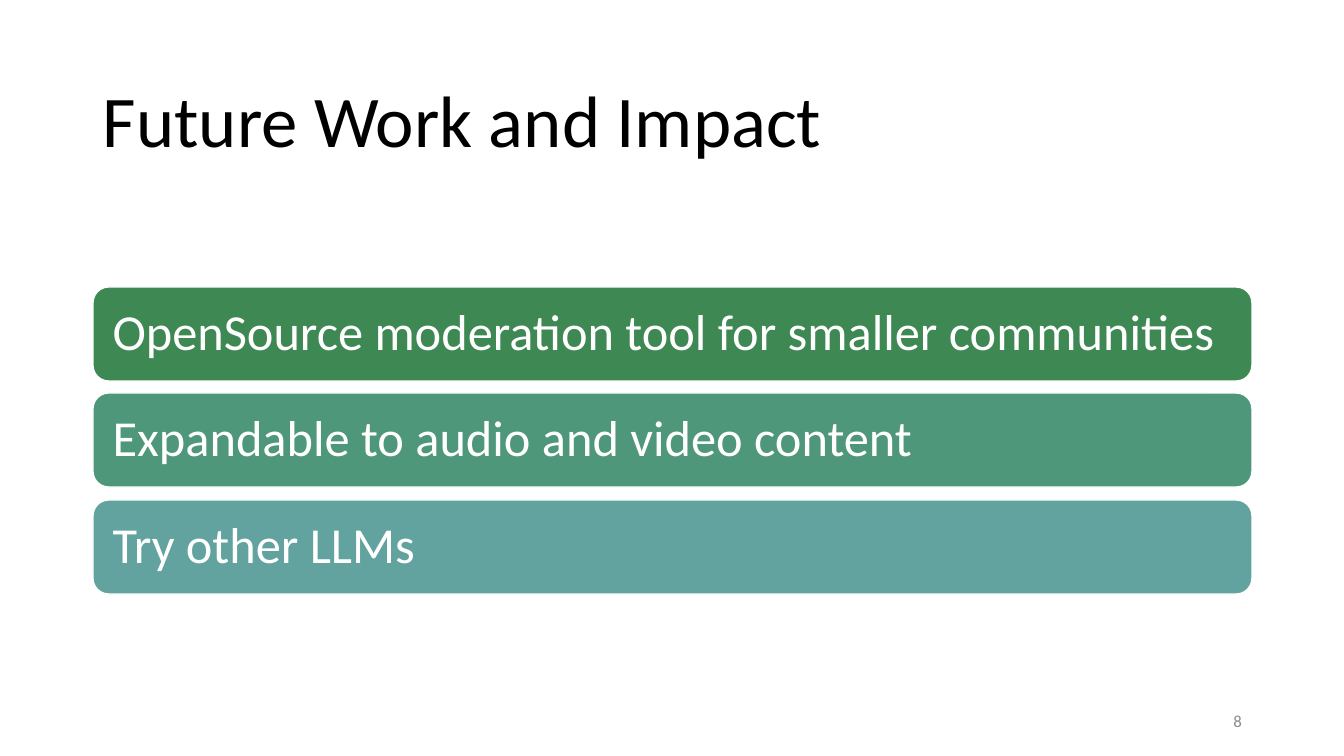
import pptx
import pptx.dml.color
import pptx.enum.shapes
import pptx.enum.text
import pptx.util

ALIGN = pptx.enum.text.PP_ALIGN
EMU_PER_PX = 914400 / 100.8


def px(n):
    return pptx.util.Emu(round(n * EMU_PER_PX))


def rgb(color):
    return pptx.dml.color.RGBColor.from_string(color)


class Deck:
    """Holds the text style and the slide being built."""

    font = "Calibri"

    def __init__(self, width, height):
        self.prs = pptx.Presentation()
        self.prs.slide_width = px(width)
        self.prs.slide_height = px(height)
        self.slide = self.prs.slides.add_slide(self.prs.slide_layouts[6])

    def set_text(self, sp, text, size, color, inset=(10, 5), **para):
        """Fill a shape with one paragraph; para holds paragraph formats."""
        tf = sp.text_frame
        dx, dy = map(px, inset)
        frame = {
            "word_wrap": True,
            "vertical_anchor": pptx.enum.text.MSO_ANCHOR.MIDDLE,
            "margin_left": dx, "margin_right": dx,
            "margin_top": dy, "margin_bottom": dy,
        }
        p = tf.paragraphs[0]
        r = p.add_run()
        r.text = text
        r.font.color.rgb = rgb(color)
        font = {"name": self.font, "size": pptx.util.Pt(size)}
        for target, values in ((tf, frame), (p, para), (r.font, font)):
            for name, value in values.items():
                setattr(target, name, value)

    def text(self, box, text, size, color, **para):
        sp = self.slide.shapes.add_textbox(*map(px, box))
        self.set_text(sp, text, size, color, **para)

    def bar(self, box, text, fill):
        sp = self.slide.shapes.add_shape(
            pptx.enum.shapes.MSO_SHAPE.ROUNDED_RECTANGLE, *map(px, box))
        sp.shadow.inherit = False
        sp.fill.solid()
        sp.fill.fore_color.rgb = rgb(fill)
        sp.line.color.rgb = rgb("FFFFFF")
        sp.line.width = pptx.util.Pt(1)
        self.set_text(sp, text, 36, "FFFFFF", inset=(15, 15),
                      alignment=ALIGN.LEFT, line_spacing=0.9)


def main():
    deck = Deck(1344, 756)
    left, width = 93, 1159
    deck.text((left, 61, width, 125), "Future Work and Impact", 52, "000000",
              line_spacing=0.9)
    deck.text((950, 701, 302, 40), "8", 12, "8C8C8C",
              alignment=ALIGN.RIGHT, space_after=pptx.util.Pt(6))

    bars = [
        ("OpenSource moderation tool for smaller communities", "3E8853"),
        ("Expandable to audio and video content", "4E977B"),
        ("Try other LLMs", "62A39F"),
    ]
    first_top, last_top, height = 287, 500, 94
    for i, (text, fill) in enumerate(bars):
        top = first_top + (last_top - first_top) * i // (len(bars) - 1)
        deck.bar((left, top, width, height), text, fill)

    deck.prs.save("out.pptx")


if __name__ == "__main__":
    main()
